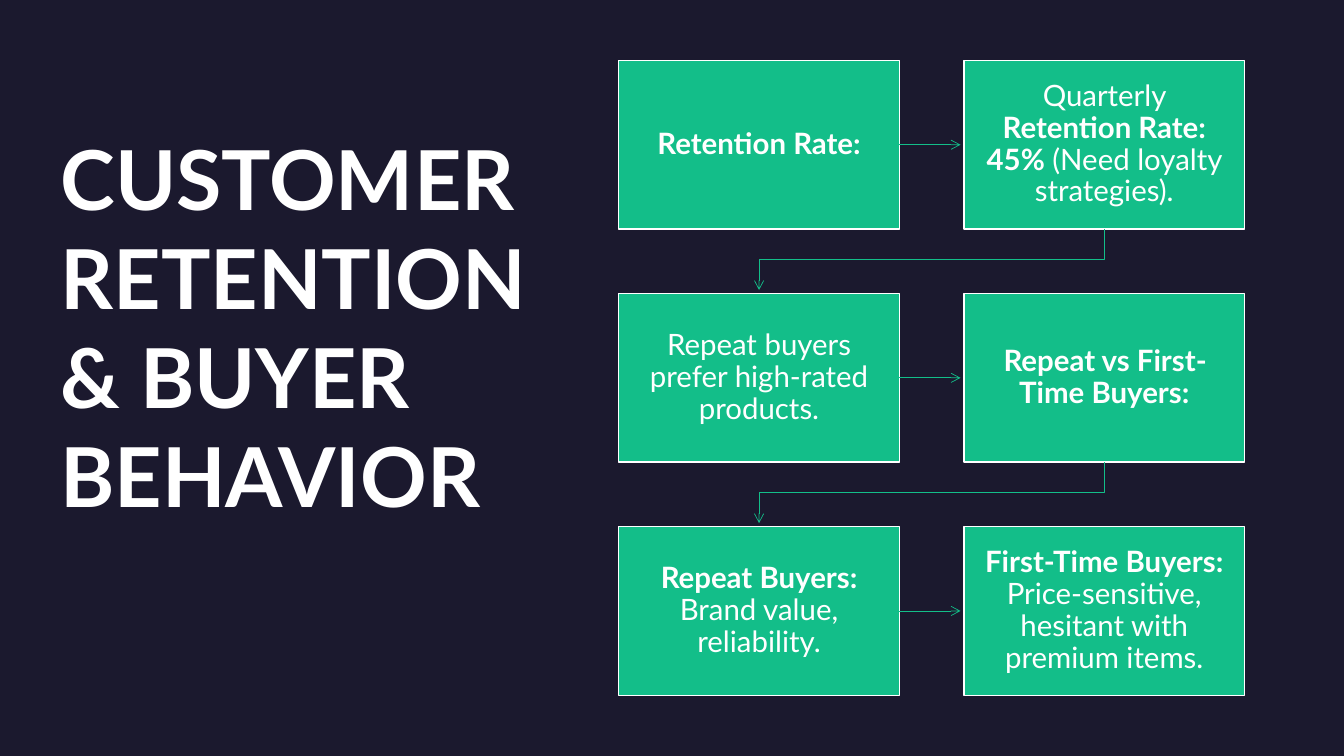
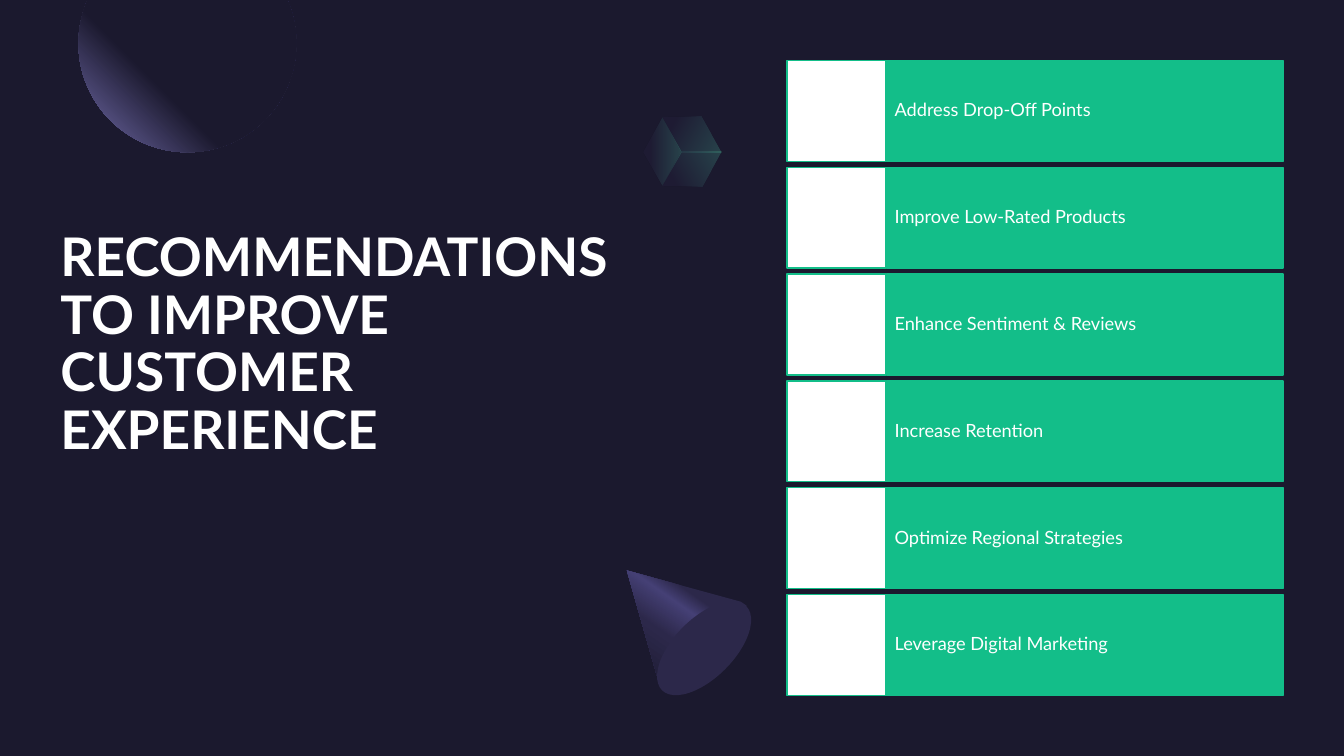
"""Build two dark slides: a retention flow and a list of recommendations."""
import math

from lxml import etree
from pptx import Presentation
from pptx.dml.color import RGBColor
from pptx.enum import shapes, text
from pptx.oxml import ns, parse_xml
from pptx.util import Pt

NAVY = RGBColor(0x1B, 0x19, 0x2E)
GREEN = RGBColor(0x13, 0xBE, 0x89)
WHITE = RGBColor(0xFF, 0xFF, 0xFF)
INDIGO = RGBColor(0x2C, 0x28, 0x4A)
VIOLET = RGBColor(0x45, 0x40, 0x75)
LILAC = RGBColor(0x77, 0x71, 0xB2)
MINT = RGBColor(0x5B, 0xEF, 0xC1)
FONT = "Lato"


def add_box(s, kind, x, y, w, h, fill, line=None):
    sp = s.shapes.add_shape(kind, Pt(x), Pt(y), Pt(w), Pt(h))
    sp.shadow.inherit = False
    sp.fill.solid()
    sp.fill.fore_color.rgb = fill
    if line is None:
        sp.line.fill.background()
    else:
        sp.line.color.rgb = line
        sp.line.width = Pt(1)
    return sp


def add_gradient_outline(s, points, stops, shade, alpha=100):
    points = [(Pt(x), Pt(y)) for x, y in points]
    builder = s.shapes.build_freeform(*points[0], scale=1.0)
    builder.add_line_segments(points[1:], close=True)
    sp = builder.convert_to_shape()
    sp.shadow.inherit = False
    sp.line.fill.background()
    sp.fill.solid()
    stop_xml = "".join(
        f'<a:gs pos="{pos * 1000}"><a:srgbClr val="{color}">'
        f'<a:alpha val="{alpha * 1000}"/></a:srgbClr></a:gs>'
        for pos, color in stops)
    grad = parse_xml(f'<a:gradFill {ns.nsdecls("a")} rotWithShape="1">'
                     f'<a:gsLst>{stop_xml}</a:gsLst>{shade}</a:gradFill>')
    spPr = sp._element.spPr
    spPr.replace(spPr.find(ns.qn("a:solidFill")), grad)


prs = Presentation()
prs.slide_width, prs.slide_height = Pt(960), Pt(540)
bg = prs.slide_master.background.fill
bg.solid()
bg.fore_color.rgb = NAVY

slides = []
for title, size, spacing, top, width, height in [
    ("CUSTOMER RETENTION & BUYER BEHAVIOR", 59, 1.0, 90, 357, 286),
    ("RECOMMENDATIONS TO IMPROVE CUSTOMER EXPERIENCE", 38, 0.9, 147, 428, 200),
]:
    s = prs.slides.add_slide(prs.slide_layouts[5])
    sp = s.shapes.title
    sp.left, sp.top, sp.width, sp.height = Pt(43.2), Pt(top), Pt(width), Pt(height)
    tf = sp.text_frame
    tf.text = title
    tf.word_wrap = True
    tf.auto_size = text.MSO_AUTO_SIZE.NONE
    tf.vertical_anchor = text.MSO_ANCHOR.MIDDLE
    tf.margin_left = tf.margin_right = tf.margin_top = tf.margin_bottom = 0
    p = tf.paragraphs[0]
    p.alignment = text.PP_ALIGN.LEFT
    p.line_spacing = spacing
    p.font.name, p.font.size, p.font.bold = FONT, Pt(size), True
    p.font.color.rgb = WHITE
    slides.append(s)
flow, tips = slides

STEPS = [
    [("Retention Rate:", True)],
    [("Quarterly ", False), ("Retention Rate: 45%", True),
     (" (Need loyalty strategies).", False)],
    [("Repeat buyers prefer high-rated products.", False)],
    [("Repeat vs First-Time Buyers:", True)],
    [("Repeat Buyers:", True), (" Brand value, reliability.", False)],
    [("First-Time Buyers:", True),
     (" Price-sensitive, hesitant with premium items.", False)],
]
LEFT, TOP, BOX_W, BOX_H = 442, 43.2, 200.4, 120.4
STEP_X, STEP_Y, ARROW_GAP = 246.6, 166.5, 2.5
for i, runs in enumerate(STEPS):
    row, col = divmod(i, 2)
    x, y = LEFT + col * STEP_X, TOP + row * STEP_Y
    sp = add_box(flow, shapes.MSO_SHAPE.RECTANGLE, x, y, BOX_W, BOX_H, GREEN, WHITE)
    tf = sp.text_frame
    tf.word_wrap = True
    tf.vertical_anchor = text.MSO_ANCHOR.MIDDLE
    tf.margin_left = tf.margin_right = tf.margin_top = tf.margin_bottom = Pt(10)
    p = tf.paragraphs[0]
    p.alignment = text.PP_ALIGN.CENTER
    p.line_spacing = 0.9
    p.font.name, p.font.size = FONT, Pt(21)
    p.font.color.rgb = WHITE
    for words, bold in runs:
        r = p.add_run()
        r.text = words
        r.font.bold = bold

    if i == len(STEPS) - 1:
        continue
    if col == 0:
        kind = shapes.MSO_CONNECTOR.STRAIGHT
        x1, x2 = x + BOX_W, x + STEP_X - ARROW_GAP
        y1 = y2 = y + BOX_H / 2
    else:
        kind = shapes.MSO_CONNECTOR.ELBOW
        drop = STEP_Y - BOX_H - ARROW_GAP
        mid_x, mid_y = x + (BOX_W - STEP_X) / 2, y + BOX_H + drop / 2
        x1, x2 = mid_x - drop / 2, mid_x + drop / 2
        y1, y2 = mid_y - STEP_X / 2, mid_y + STEP_X / 2
    arrow = flow.shapes.add_connector(kind, Pt(x1), Pt(y1), Pt(x2), Pt(y2))
    arrow.line.color.rgb = GREEN
    arrow.line.width = Pt(0.5)
    spPr = arrow._element.spPr
    if col == 1:
        spPr.find(ns.qn("a:xfrm")).set("rot", "5400000")
    etree.SubElement(spPr.find(ns.qn("a:ln")), ns.qn("a:tailEnd"), type="arrow")
    etree.SubElement(spPr, ns.qn("a:effectLst"))

CX, CY, RADIUS = 133.9, 31, 77.8
start = math.asin(-CY / RADIUS)
sweep = math.pi - 2 * start
disc = [(CX + RADIUS * math.cos(start + sweep * k / 90),
         CY + RADIUS * math.sin(start + sweep * k / 90)) for k in range(91)]
add_gradient_outline(
    tips, disc, [(0, NAVY), (60, NAVY), (100, LILAC)],
    '<a:path path="circle"><a:fillToRect l="100000" b="100000"/></a:path>')

hub, right_top, left_top = (486.7, 108.7), (501.1, 83.5), (473, 84.2)
left, right = (459.4, 108.7), (515.5, 108.7)
left_bottom, right_bottom = (473, 132.5), (501.8, 133.2)
for face, angle in [
    ([right_top, left_top, hub, right], 30),
    ([left_bottom, left, left_top, hub], 0),
    ([right, right_bottom, left_bottom, hub], 330),
]:
    add_gradient_outline(tips, face, [(0, INDIGO), (20, INDIGO), (100, MINT)],
                         f'<a:lin ang="{angle * 60000}" scaled="0"/>', alpha=20)

cone = [(447.8, 407.5), (529.2, 429.8), (533.5, 432.7), (473, 492.5), (470.9, 488.2)]
add_gradient_outline(
    tips, cone, [(0, INDIGO), (30, INDIGO), (40, VIOLET), (60, INDIGO), (100, NAVY)],
    f'<a:lin ang="{125 * 60000}" scaled="0"/>')
base = add_box(tips, shapes.MSO_SHAPE.OVAL, 481.7, 420.5, 42.5, 85, INDIGO)
base.rotation = 45

TIPS = ["Address Drop-Off Points", "Improve Low-Rated Products",
        "Enhance Sentiment & Reviews", "Increase Retention",
        "Optimize Regional Strategies", "Leverage Digital Marketing"]
for i, tip in enumerate(TIPS):
    y = 43.2 + i * 76.3
    sp = add_box(tips, shapes.MSO_SHAPE.RECTANGLE, 633, y, 283.5, 72, GREEN, GREEN)
    tf = sp.text_frame
    tf.text = tip
    tf.word_wrap = True
    tf.vertical_anchor = text.MSO_ANCHOR.MIDDLE
    tf.margin_left = tf.margin_right = Pt(6)
    tf.margin_top = tf.margin_bottom = Pt(18)
    p = tf.paragraphs[0]
    p.alignment = text.PP_ALIGN.LEFT
    p.line_spacing = 0.9
    p.font.name, p.font.size = FONT, Pt(13)
    p.font.color.rgb = WHITE
    add_box(tips, shapes.MSO_SHAPE.RECTANGLE, 562.3, y, 70.7, 72, WHITE, GREEN)

prs.save("out.pptx")
